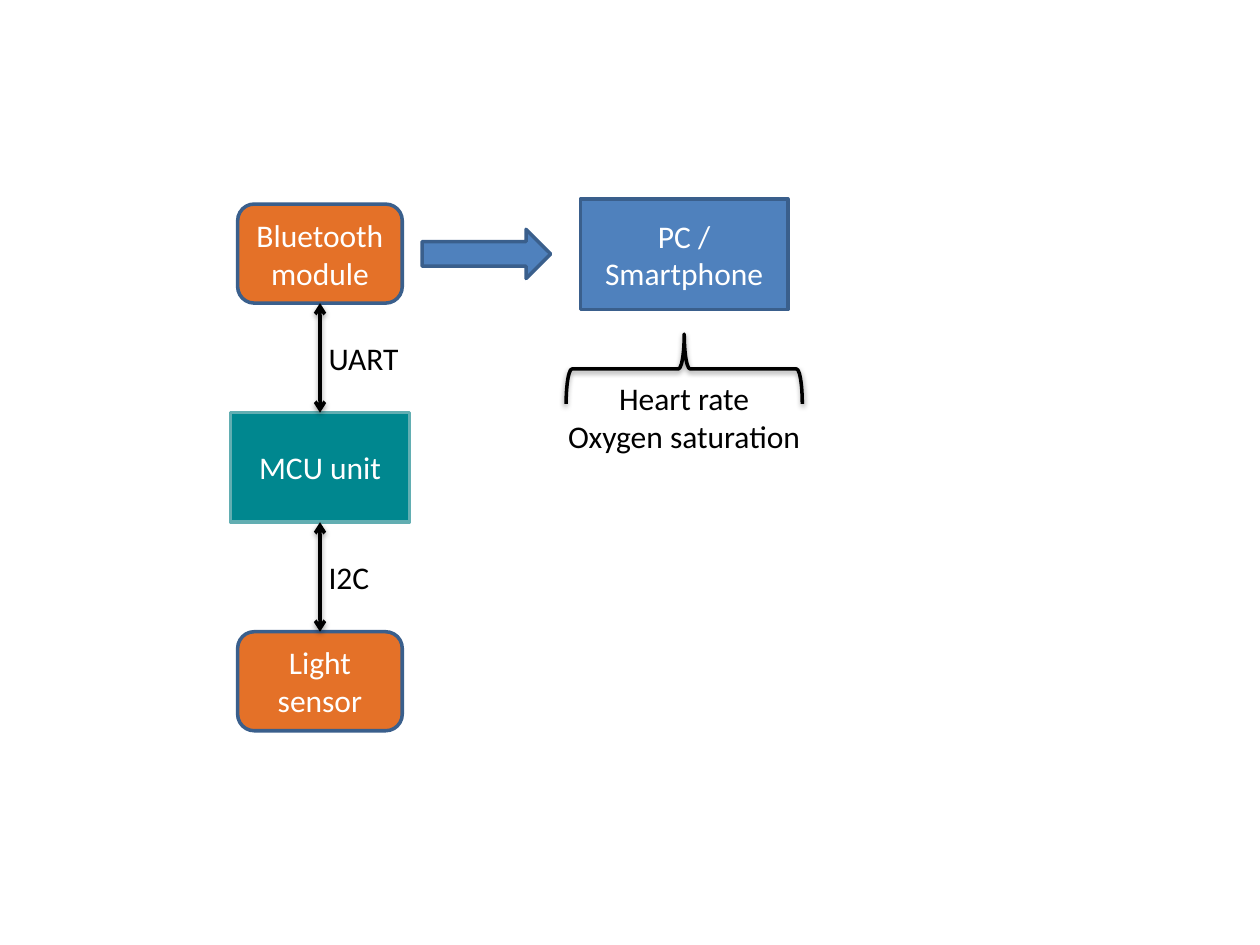
from lxml import etree
from pptx import Presentation
from pptx.dml.color import RGBColor as Rgb
from pptx.enum.shapes import MSO_CONNECTOR as Link, MSO_SHAPE as Kind
from pptx.enum.text import MSO_ANCHOR as Anchor, MSO_AUTO_SIZE as Fit, PP_ALIGN as Align
from pptx.oxml import parse_xml
from pptx.oxml.ns import qn
from pptx.util import Inches as In, Pt

TEAL, MINT = Rgb(0x00, 0x87, 0x8F), Rgb(0x62, 0xAE, 0xB2)
ORANGE, NAVY = Rgb(0xE4, 0x71, 0x28), Rgb(0x3A, 0x5F, 0x8C)
BLUE = Rgb(0x4F, 0x81, 0xBD)
WHITE, BLACK = Rgb(255, 255, 255), Rgb(0, 0, 0)
SHADE = (
    '<a:effectLst xmlns:a="http://schemas.openxmlformats.org/drawingml/2006/main">'
    '<a:outerShdw blurRad="40000" dist="20000" dir="5400000" rotWithShape="0">'
    '<a:srgbClr val="000000"><a:alpha val="38000"/></a:srgbClr>'
    '</a:outerShdw></a:effectLst>'
)


def write(frame, text, color, align):
    """Fill a text frame and format every run."""
    frame.text = text
    for para in frame.paragraphs:
        para.alignment = align
        for run in para.runs:
            run.font.name, run.font.size = "Calibri", Pt(18)
            run.font.color.rgb = color


def block(slide, kind, box, fill, edge, text=""):
    """Add a filled shape with centred white text."""
    shape = slide.shapes.add_shape(kind, *map(In, box))
    shape.shadow.inherit = False
    shape.fill.solid()
    shape.fill.fore_color.rgb = fill
    shape.line.color.rgb, shape.line.width = edge, Pt(2)
    if text:
        shape.text_frame.vertical_anchor = Anchor.MIDDLE
        write(shape.text_frame, text, WHITE, Align.CENTER)


def label(slide, box, text, align=Align.LEFT):
    """Add black text that does not wrap."""
    frame = slide.shapes.add_textbox(*map(In, box)).text_frame
    frame.word_wrap, frame.auto_size = False, Fit.SHAPE_TO_FIT_TEXT
    write(frame, text, BLACK, align)


def arrow(slide, x, top, base):
    """Add an upright line with a head at both ends."""
    line = slide.shapes.add_connector(Link.STRAIGHT, In(x), In(top), In(x), In(base))
    line.line.color.rgb, line.line.width = BLACK, Pt(2)
    pen = line.line._get_or_add_ln()
    for end in ("a:headEnd", "a:tailEnd"):
        etree.SubElement(pen, qn(end), type="arrow")
    line._element.spPr.append(parse_xml(SHADE))


def stack(slide, left, top, wide, high):
    """Place the board between two modules, joined by bus arrows."""
    unit = high * 0.208
    small = (high - 3 * unit) / 2
    mid = left + wide / 2
    slim = wide * 0.92
    board = top + small + unit
    block(slide, Kind.RECTANGLE, (left, board, wide, unit), TEAL, MINT, "MCU unit")
    for y, text in ((top, "Bluetooth module"), (top + high - small, "Light sensor")):
        box = (mid - slim / 2, y, slim, small)
        block(slide, Kind.ROUNDED_RECTANGLE, box, ORANGE, NAVY, text)
    for y, text, span in ((top + small, "UART", 0.76), (board + unit, "I2C", 0.53)):
        arrow(slide, mid, y, y + unit)
        label(slide, (mid - 0.03, y + unit * 0.27, span, 0.4), text)


def output(slide, left, top, wide, high):
    """Place the receiver above a brace and its readings."""
    mid = left + wide / 2
    span = wide * 0.8
    box = (mid - span / 2, top, span, high * 0.42)
    block(slide, Kind.RECTANGLE, box, BLUE, NAVY, "PC / Smartphone")
    label(slide, (left, top + high * 0.66, wide, high * 0.34),
          "Heart rate\nOxygen saturation", Align.CENTER)
    deep, reach = high * 0.265, wide * 0.91
    hub = top + high * 0.645
    brace = slide.shapes.add_shape(
        Kind.LEFT_BRACE, In(mid - deep / 2), In(hub - reach / 2), In(deep), In(reach))
    brace.rotation = 90
    brace.fill.background()
    brace.line.color.rgb, brace.line.width = BLACK, Pt(2)
    brace._element.spPr.append(parse_xml(SHADE))


def main():
    """Build the slide and save it."""
    deck = Presentation()
    deck.slide_width, deck.slide_height = In(10), In(7.5)
    slide = deck.slides.add_slide(deck.slide_layouts[6])
    stack(slide, 1.83, 1.62, 1.42, 4.18)
    block(slide, Kind.RIGHT_ARROW, (3.35, 1.82, 1.02, 0.39), BLUE, NAVY)
    output(slide, 4.4, 1.58, 2.06, 2.09)
    deck.save("out.pptx")


main()
